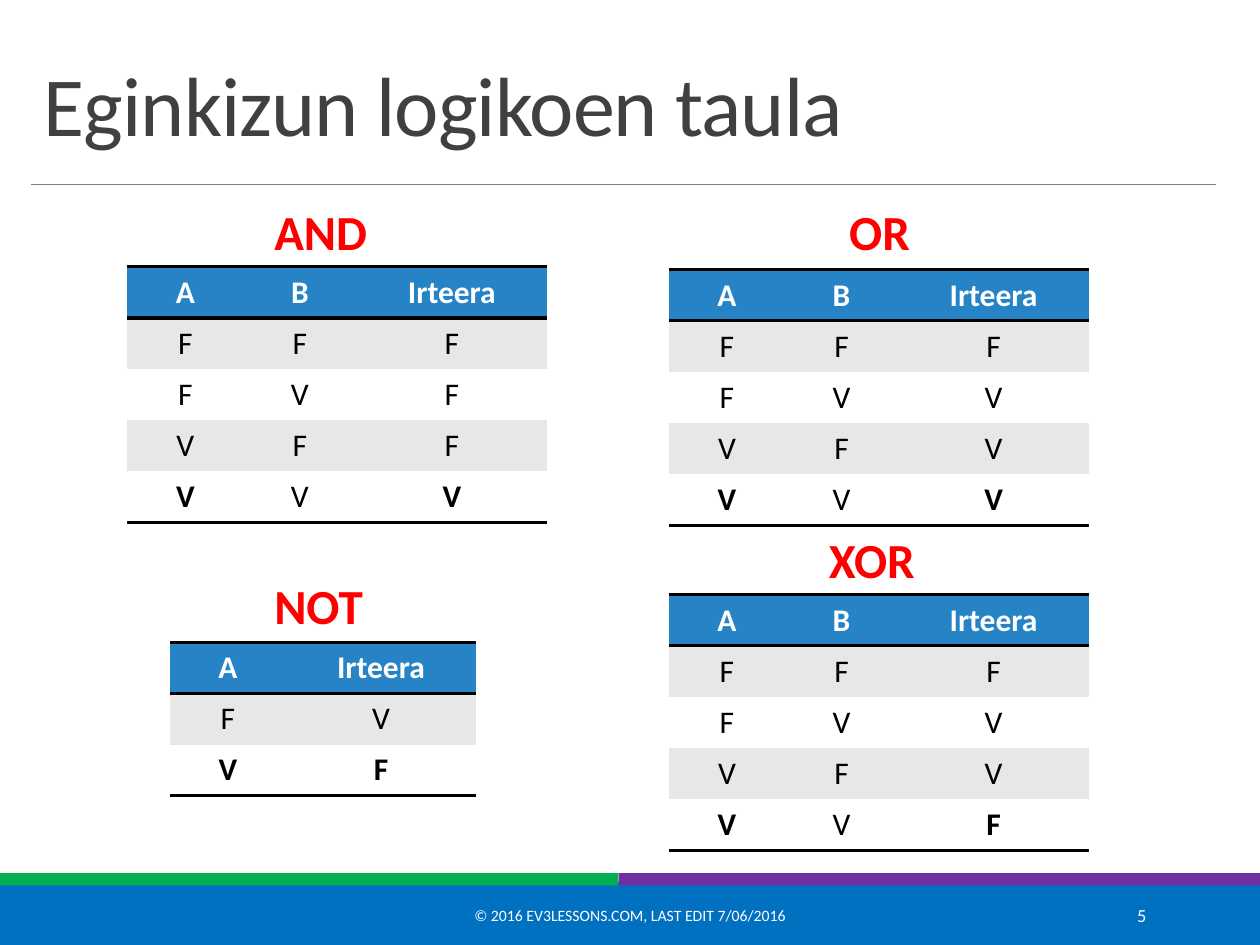
from dataclasses import dataclass

from lxml.etree import SubElement
from pptx import Presentation
from pptx.dml.color import RGBColor
from pptx.enum.shapes import MSO_CONNECTOR, MSO_SHAPE
from pptx.enum.text import MSO_ANCHOR, MSO_AUTO_SIZE, PP_ALIGN
from pptx.oxml.ns import qn
from pptx.util import Cm, Pt

FONT = "Calibri"
WIDTH, HEIGHT = 25.4, 19.05
ROW_HEIGHT = 1.03
COLUMN_WIDTHS = {"A": 2.33, "B": 2.29, "Irteera": 3.84}
NO_STYLE = "{2D5ABB26-0587-4C30-8999-92F81FD0307C}"


@dataclass
class Band:
    left: float
    top: float
    width: float
    height: float
    color: str


@dataclass
class Label:
    text: str
    left: float
    top: float
    width: float
    height: float
    size: float
    color: str
    align: PP_ALIGN = PP_ALIGN.LEFT
    bold: bool = False


@dataclass
class TruthTable:
    """Each string in rows holds one row, one letter per column."""
    label: Label
    left: float
    top: float
    headers: list[str]
    rows: list[str]


def heading(text: str, left: float, top: float, width: float) -> Label:
    return Label(text, left, top, width, 1.45, 28, "FF0000", bold=True)


BANDS = [
    Band(0, 17.78, WIDTH, 1.27, "0070C0"),
    Band(0, 17.6, 12.47, 0.25, "00B050"),
    Band(12.47, 17.6, WIDTH - 12.47, 0.25, "7030A0"),
]
FOOTERS = [
    Label("© 2016 EV3LESSONS.COM, LAST EDIT 7/06/2016", 7.67, 17.94, 10.06, 1.01,
          9, "FFFFFF", PP_ALIGN.CENTER),
    Label("5", 20.62, 17.94, 2.74, 1.01, 10.5, "FFFFFF", PP_ALIGN.RIGHT),
]
TWO_INPUTS = ["A", "B", "Irteera"]
TABLES = [
    TruthTable(heading("AND", 5.28, 3.94, 2.41), 2.57, 5.38, TWO_INPUTS,
               ["FFF", "FVF", "VFF", "VVV"]),
    TruthTable(heading("OR", 16.87, 3.94, 1.75), 13.49, 5.44, TWO_INPUTS,
               ["FFF", "FVV", "VFV", "VVV"]),
    TruthTable(heading("NOT", 5.28, 11.48, 2.31), 3.43, 12.95, ["A", "Irteera"],
               ["FV", "VF"]),
    TruthTable(heading("XOR", 16.46, 10.54, 2.26), 13.49, 11.99, TWO_INPUTS,
               ["FFF", "FVV", "VFV", "VVF"]),
]


def rgb(color: str) -> RGBColor:
    return RGBColor.from_string(color)


def style(p, size: float, color: str, align: PP_ALIGN, bold: bool = False) -> None:
    p.alignment = align
    p.font.name = FONT
    p.font.size = Pt(size)
    p.font.bold = bold
    p.font.color.rgb = rgb(color)


def add_band(s, band: Band) -> None:
    sp = s.shapes.add_shape(MSO_SHAPE.RECTANGLE, Cm(band.left), Cm(band.top),
                            Cm(band.width), Cm(band.height))
    sp.shadow.inherit = False
    sp.fill.solid()
    sp.fill.fore_color.rgb = rgb(band.color)
    sp.line.fill.background()


def add_rule(s) -> None:
    line = s.shapes.add_connector(MSO_CONNECTOR.STRAIGHT, Cm(0.63), Cm(3.71),
                                  Cm(24.51), Cm(3.71))
    line.line.color.rgb = rgb("808080")
    line.line.width = Pt(0.5)
    SubElement(line._element.spPr, qn("a:effectLst"))


def add_title(s, text: str) -> None:
    sp = s.shapes.title
    sp.left, sp.top, sp.width, sp.height = Cm(0.63), Cm(0.79), Cm(23.88), Cm(2.44)
    tf = sp.text_frame
    tf.text = text
    tf.auto_size = MSO_AUTO_SIZE.NONE
    tf.vertical_anchor = MSO_ANCHOR.BOTTOM
    p = tf.paragraphs[0]
    p.line_spacing = 0.85
    style(p, 48, "404040", PP_ALIGN.LEFT)
    p.runs[0].font._element.set("spc", "-50")


def add_label(s, label: Label, wrap: bool, anchor: MSO_ANCHOR) -> None:
    sp = s.shapes.add_textbox(Cm(label.left), Cm(label.top),
                              Cm(label.width), Cm(label.height))
    tf = sp.text_frame
    tf.word_wrap = wrap
    tf.vertical_anchor = anchor
    tf.text = label.text
    style(tf.paragraphs[0], label.size, label.color, label.align, label.bold)


def add_border(cell, side: str) -> None:
    ln = SubElement(cell._tc.get_or_add_tcPr(), qn(f"a:{side}"), w=str(Pt(2)))
    fill = SubElement(ln, qn("a:solidFill"))
    SubElement(fill, qn("a:srgbClr"), val="000000")


def add_truth_table(s, item: TruthTable) -> None:
    grid = [item.headers, *item.rows]
    widths = [COLUMN_WIDTHS[name] for name in item.headers]
    last_row, last_col = len(grid) - 1, len(widths) - 1
    table = s.shapes.add_table(len(grid), len(widths), Cm(item.left), Cm(item.top),
                               Cm(sum(widths)), Cm(ROW_HEIGHT * len(grid))).table
    table._tbl.tblPr.find(qn("a:tableStyleId")).text = NO_STYLE
    for column, width in zip(table.columns, widths):
        column.width = Cm(width)
    for i, values in enumerate(grid):
        table.rows[i].height = Cm(ROW_HEIGHT)
        header = i == 0
        color = "2683C6" if header else "E7E7E7" if i % 2 else "FFFFFF"
        for j, value in enumerate(values):
            cell = table.cell(i, j)
            cell.text = value
            bold = header or (i == last_row and j in (0, last_col))
            style(cell.text_frame.paragraphs[0], 18,
                  "FFFFFF" if header else "000000", PP_ALIGN.CENTER, bold)
            if header:
                add_border(cell, "lnT")
            if header or i == last_row:
                add_border(cell, "lnB")
            cell.fill.solid()
            cell.fill.fore_color.rgb = rgb(color)


def main() -> None:
    prs = Presentation()
    prs.slide_width, prs.slide_height = Cm(WIDTH), Cm(HEIGHT)
    s = prs.slides.add_slide(prs.slide_layouts[5])
    for band in BANDS:
        add_band(s, band)
    add_rule(s)
    add_title(s, "Eginkizun logikoen taula")
    for footer in FOOTERS:
        add_label(s, footer, True, MSO_ANCHOR.MIDDLE)
    for item in TABLES:
        add_truth_table(s, item)
        add_label(s, item.label, False, MSO_ANCHOR.TOP)
    prs.save("out.pptx")


if __name__ == "__main__":
    main()
